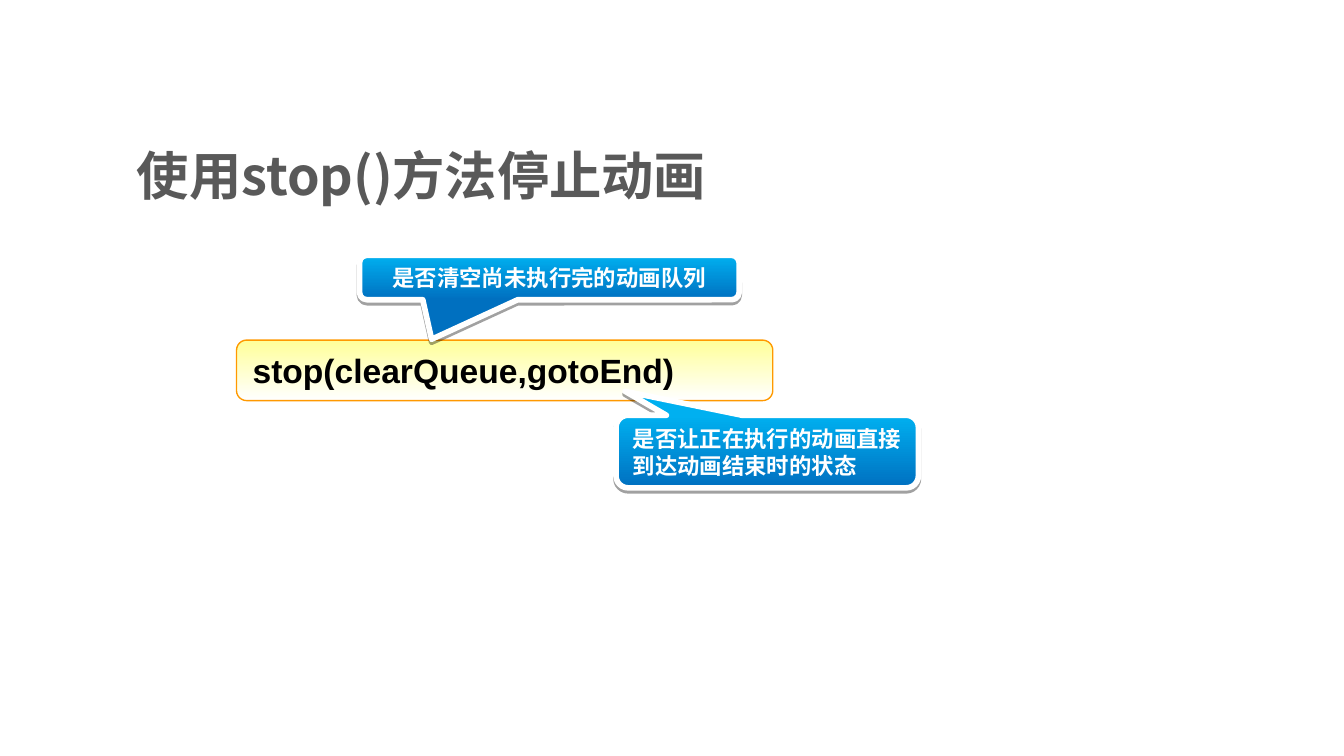
from dataclasses import dataclass

from lxml import etree
from pptx import Presentation
from pptx.dml.color import RGBColor
from pptx.enum import shapes, text
from pptx.oxml import ns
from pptx.util import Pt


@dataclass(frozen=True)
class Theme:
    latin: str = "Arial"
    cjk: str = "Noto Sans CJK SC"
    title_color: str = "595959"
    code_color: str = "000000"
    code_fill: tuple = ("FFFF99", "FFFFFF")
    code_line: str = "FF9900"
    note_fill: tuple = ("00B0F0", "0070C0")
    white: str = "FFFFFF"
    shadow: str = "000000"
    title_size: int = 28
    code_size: int = 18
    note_size: int = 12


THEME = Theme()


def place(sp, left, top, width, height):
    sp.left, sp.top, sp.width, sp.height = map(Pt, (left, top, width, height))


def write(sp, words, size, color, latin, align, anchor):
    tf = sp.text_frame
    tf.word_wrap = True
    tf.auto_size = text.MSO_AUTO_SIZE.NONE
    tf.vertical_anchor = anchor
    tf.text = words
    p = tf.paragraphs[0]
    p.alignment = align
    p.font.name, p.font.size, p.font.bold = latin, Pt(size), True
    p.font.color.rgb = RGBColor.from_string(color)
    # East Asian typeface for the Chinese characters
    r_pr = p.runs[0]._r.get_or_add_rPr()
    etree.SubElement(r_pr, ns.qn("a:ea"), typeface=THEME.cjk)


def add_title(s, words, box):
    sp = s.shapes.title
    place(sp, *box)
    write(sp, words, THEME.title_size, THEME.title_color, THEME.cjk,
          text.PP_ALIGN.LEFT, text.MSO_ANCHOR.MIDDLE)


def add_panel(s, kind, box, colors, line, line_width):
    """Shape with a top-to-bottom gradient and a plain outline."""
    sp = s.shapes.add_shape(kind, *map(Pt, box))
    sp.shadow.inherit = False
    sp.fill.gradient()
    sp.fill.gradient_angle = 270
    for stop, color in zip(sp.fill.gradient_stops, colors):
        stop.color.rgb = RGBColor.from_string(color)
    sp.line.color.rgb = RGBColor.from_string(line)
    sp.line.width = Pt(line_width)
    return sp


def add_code(s, words, box):
    sp = add_panel(s, shapes.MSO_SHAPE.ROUNDED_RECTANGLE, box,
                   THEME.code_fill, THEME.code_line, 0.75)
    write(sp, words, THEME.code_size, THEME.code_color, THEME.latin,
          text.PP_ALIGN.LEFT, text.MSO_ANCHOR.MIDDLE)


def add_drop_shadow(sp):
    effects = sp._element.spPr.find(ns.qn("a:effectLst"))
    shadow = etree.SubElement(effects, ns.qn("a:outerShdw"), blurRad="0",
                              dist=str(Pt(1.6)), dir="5400000",
                              algn="t", rotWithShape="0")
    color = etree.SubElement(shadow, ns.qn("a:srgbClr"), val=THEME.shadow)
    etree.SubElement(color, ns.qn("a:alpha"), val="37000")


def add_callout(s, words, box, pointer, align):
    sp = add_panel(s, shapes.MSO_SHAPE.ROUNDED_RECTANGULAR_CALLOUT, box,
                   THEME.note_fill, THEME.white, 3)
    sp.adjustments[0], sp.adjustments[1] = pointer
    add_drop_shadow(sp)
    write(sp, words, THEME.note_size, THEME.white, THEME.latin,
          align, text.MSO_ANCHOR.TOP)


def main():
    prs = Presentation()
    prs.slide_width, prs.slide_height = Pt(720), Pt(405)
    s = prs.slides.add_slide(prs.slide_layouts[5])

    # Title
    add_title(s, "使用stop()方法停止动画", (66.2, 70.6, 516.2, 45.4))

    # Method signature
    add_code(s, "stop(clearQueue,gotoEnd)", (126.7, 182.2, 287.3, 32.4))

    # Notes on the two parameters
    add_callout(s, "是否清空尚未执行完的动画队列", (192.6, 136.8, 203.4, 23.8),
                (-0.31, 1.39), text.PP_ALIGN.CENTER)
    add_callout(s, "是否让正在执行的动画直接到达动画结束时的状态",
                (330, 222.5, 162, 38.9), (-0.47, -0.83), text.PP_ALIGN.LEFT)

    prs.save("out.pptx")


if __name__ == "__main__":
    main()
